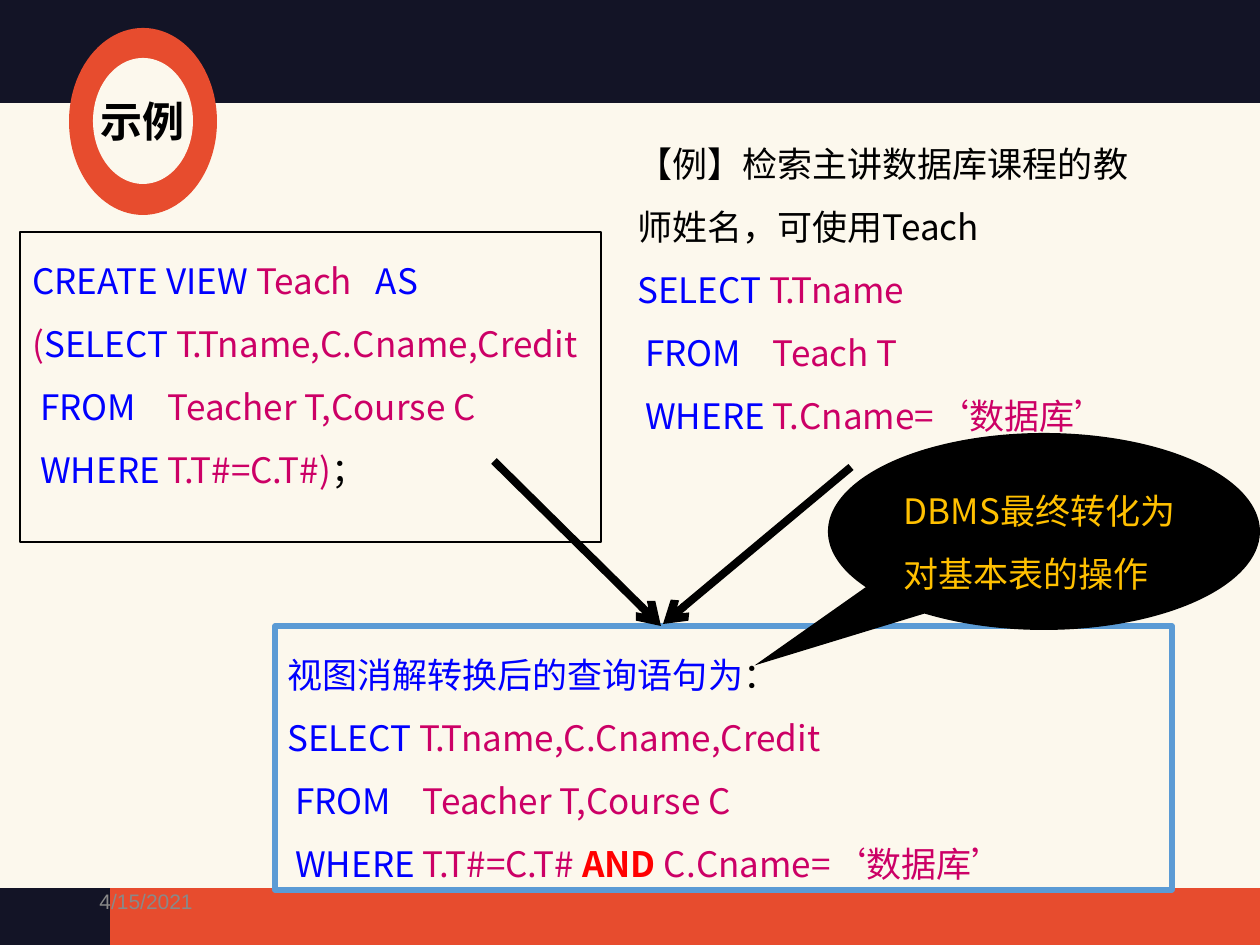
from dataclasses import dataclass
from typing import NamedTuple

from lxml import etree
from pptx import Presentation
from pptx import util as u
from pptx.dml.color import RGBColor
from pptx.enum import shapes, text
from pptx.oxml import ns

EMU_PER_PX = 914400 / 126


@dataclass(frozen=True)
class Theme:
    cream: str = "FCF8ED"
    navy: str = "131426"
    orange: str = "E74C2E"
    frame: str = "5B9BD5"
    black: str = "000000"
    keyword: str = "0000FF"
    code: str = "CC0066"
    emphasis: str = "FF0000"
    callout: str = "FFC000"
    muted: str = "898989"
    font: str = "Noto Sans CJK SC"
    date_font: str = "Arial"
    title_size: int = 24
    body_size: int = 20
    date_size: int = 12


THEME = Theme()


class Box(NamedTuple):
    left: int
    top: int
    width: int
    height: int


class Span(NamedTuple):
    words: str
    color: str
    bold: bool = False


class Panel(NamedTuple):
    box: Box
    lines: list[list[Span]]
    border: str | None = None
    border_pt: float = 0
    hanging_from: int = 0


class Arrow(NamedTuple):
    start: tuple[int, int]
    end: tuple[int, int]


def px(value: int) -> u.Emu:
    return u.Emu(round(value * EMU_PER_PX))


def emu(box: Box) -> list[u.Emu]:
    return [px(value) for value in box]


def keyword(words: str) -> Span:
    return Span(words, THEME.keyword)


def code(words: str) -> Span:
    return Span(words, THEME.code)


def plain(words: str) -> Span:
    return Span(words, THEME.black)


def write(shape, lines: list[list[Span]], *, size: int = THEME.body_size,
          font: str = THEME.font, spacing: float = 1.5, hanging_from: int | None = None,
          align=text.PP_ALIGN.LEFT, anchor=text.MSO_ANCHOR.TOP, wrap: bool = True) -> None:
    """Fill a shape with lines; those from hanging_from on get a hanging indent."""
    frame = shape.text_frame
    frame.word_wrap = wrap
    frame.vertical_anchor = anchor
    for index, line in enumerate(lines):
        paragraph = frame.add_paragraph() if index else frame.paragraphs[0]
        paragraph.alignment = align
        paragraph.line_spacing = spacing
        if hanging_from is not None and index >= hanging_from:
            properties = paragraph._p.get_or_add_pPr()
            properties.set("marL", str(u.Inches(0.25)))
            properties.set("indent", str(-u.Inches(0.25)))
        for span in line:
            run = paragraph.add_run()
            run.text = span.words
            run.font.size = u.Pt(size)
            run.font.bold = span.bold
            run.font.color.rgb = RGBColor.from_string(span.color)
            run.font.name = font
            east_asian = etree.SubElement(run._r.get_or_add_rPr(), ns.qn("a:ea"))
            east_asian.set("typeface", font)


def add_filled(slide, kind, box: Box, fill: str):
    shape = slide.shapes.add_shape(kind, *emu(box))
    shape.shadow.inherit = False
    shape.fill.solid()
    shape.fill.fore_color.rgb = RGBColor.from_string(fill)
    shape.line.fill.background()
    return shape


def add_panel(slide, panel: Panel) -> None:
    if panel.border:
        shape = slide.shapes.add_shape(shapes.MSO_SHAPE.RECTANGLE, *emu(panel.box))
        shape.shadow.inherit = False
        shape.fill.background()
        shape.line.color.rgb = RGBColor.from_string(panel.border)
        shape.line.width = u.Pt(panel.border_pt)
    else:
        shape = slide.shapes.add_textbox(*emu(panel.box))
    write(shape, panel.lines, hanging_from=panel.hanging_from)


def add_arrow(slide, arrow: Arrow) -> None:
    connector = slide.shapes.add_connector(
        shapes.MSO_CONNECTOR.STRAIGHT, *map(px, arrow.start + arrow.end))
    connector.line.color.rgb = RGBColor.from_string(THEME.black)
    connector.line.width = u.Pt(4.5)
    etree.SubElement(connector.line._get_or_add_ln(), ns.qn("a:tailEnd")).set("type", "arrow")
    etree.SubElement(connector._element.spPr, ns.qn("a:effectLst"))


def add_title_badge(slide) -> None:
    oval = shapes.MSO_SHAPE.OVAL
    add_filled(slide, oval, Box(69, 28, 148, 187), THEME.orange)
    hole = Box(93, 58, 100, 126)
    add_filled(slide, oval, hole, THEME.cream)
    title = slide.shapes.title
    title.left, title.top, title.width, title.height = emu(hole)
    frame = title.text_frame
    frame.margin_left = frame.margin_right = 0
    write(title, [[Span("示例", THEME.black, True)]], size=THEME.title_size, spacing=1.0,
          align=text.PP_ALIGN.CENTER, anchor=text.MSO_ANCHOR.MIDDLE, wrap=False)
    slide.shapes._spTree.append(title._element)


SELECT_COLUMNS = [keyword("SELECT "), code("T.Tname,C.Cname,Credit")]
FROM_TABLES = [keyword(" FROM    "), code("Teacher T,Course C")]
WHERE = keyword(" WHERE ")

PANELS = [
    Panel(Box(20, 232, 581, 310), [
        [keyword("CREATE VIEW "), code("Teach   "), keyword("AS")],
        [code("("), *SELECT_COLUMNS],
        FROM_TABLES,
        [WHERE, code("T.T#=C.T#)"), plain("；")],
    ], THEME.black, 1.5),
    Panel(Box(625, 115, 541, 394), [
        [plain("【例】检索主讲数据库课程的教师姓名，可使用Teach")],
        [keyword("SELECT "), code("T.Tname")],
        [keyword(" FROM    "), code("Teach T")],
        [WHERE, code("T.Cname=‘数据库’")],
    ], hanging_from=1),
    Panel(Box(275, 626, 897, 264), [
        [keyword("视图消解转换后的查询语句为"), plain("：")],
        SELECT_COLUMNS,
        FROM_TABLES,
        [WHERE, code("T.T#=C.T# "), Span("AND ", THEME.emphasis, True),
         code("C.Cname=‘数据库’")],
    ], THEME.frame, 3),
]

ARROWS = [Arrow((494, 461), (661, 626)), Arrow((851, 467), (663, 624))]


def main() -> None:
    deck = Presentation()
    deck.slide_width, deck.slide_height = px(1260), px(945)
    slide = deck.slides.add_slide(deck.slide_layouts[5])
    slide.background.fill.solid()
    slide.background.fill.fore_color.rgb = RGBColor.from_string(THEME.cream)

    bands = [(Box(0, 888, 1260, 57), THEME.orange), (Box(0, 888, 110, 57), THEME.navy),
             (Box(0, 0, 1260, 103), THEME.navy)]
    for box, fill in bands:
        add_filled(slide, shapes.MSO_SHAPE.RECTANGLE, box, fill)
    date = slide.shapes.add_textbox(*emu(Box(87, 876, 284, 50)))
    write(date, [[Span("4/15/2021", THEME.muted)]], size=THEME.date_size,
          font=THEME.date_font, spacing=1.0, anchor=text.MSO_ANCHOR.MIDDLE)

    add_title_badge(slide)
    for panel in PANELS:
        add_panel(slide, panel)
    for arrow in ARROWS:
        add_arrow(slide, arrow)

    callout = add_filled(slide, shapes.MSO_SHAPE.OVAL_CALLOUT, Box(828, 433, 432, 197),
                         THEME.black)
    callout.adjustments[0], callout.adjustments[1] = -0.67, 0.68
    write(callout, [[Span("DBMS最终转化为对基本表的操作", THEME.callout)]])

    deck.save("out.pptx")


if __name__ == "__main__":
    main()
